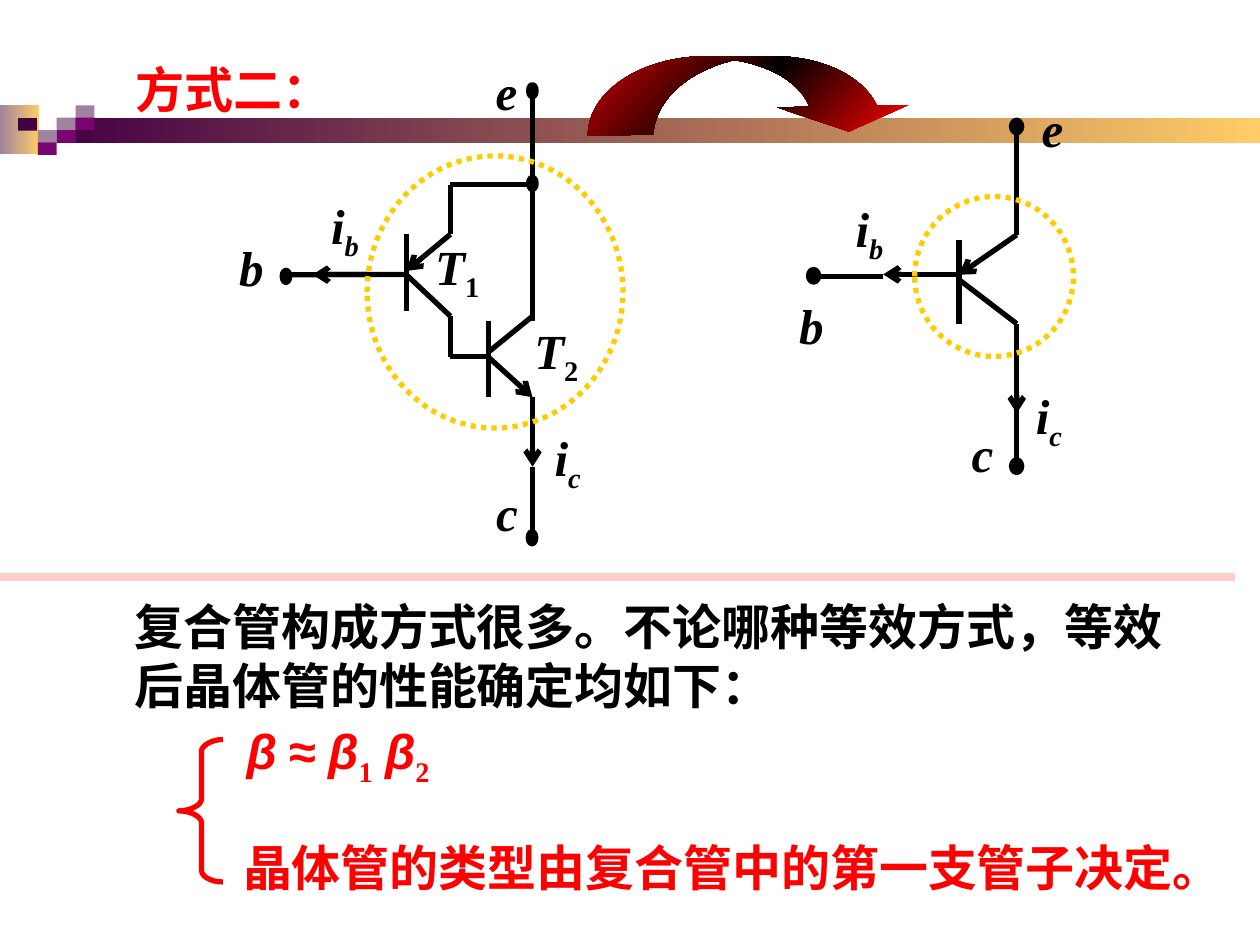
"""Build the slide on the second way to form a compound transistor."""
from copy import deepcopy

from lxml.etree import SubElement
from pptx import Presentation
from pptx.dml.color import RGBColor
from pptx.enum.dml import MSO_LINE as Dash
from pptx.enum.shapes import MSO_CONNECTOR as Connector, MSO_SHAPE as Preset
from pptx.enum.text import MSO_ANCHOR as Anchor, MSO_AUTO_SIZE as AutoSize, PP_ALIGN as Align
from pptx.oxml.ns import qn
from pptx.util import Pt

COLORS = {
    "black": "000000", "red": "FF0000", "gold": "FFCC00", "pink": "FFCCCC",
    "mauve": "9F839F", "plum": "790571", "violet": "440044", "sand": "FFCC66",
}
SERIF, SANS = "Times New Roman", "Arial"

BANDS = [
    (("mauve", "sand"), (0, 60.2, 22.3, 28)),
    (("violet", "sand"), (32.4, 67.2, 687.6, 14.4)),
]
TILE_WIDTH, TILE_HEIGHT = 10.8, 7.2
TILES = [
    ("mauve", 32.4, 67.2), ("mauve", 43.2, 60.2), ("plum", 43.2, 67.2),
    ("mauve", 21.6, 74.4), ("violet", 10.3, 67.5), ("plum", 32.4, 74.4),
    ("plum", 21.6, 81.4),
]

SINGLE = {
    "circle": (522.7, 112.3, 90.7, 91.4),
    "dot_size": (5.8, 7.2),
    "dots": [(578, 68.7), (462, 154), (578, 262.8)],
    "wires": [
        (495.4, 135.4, 495.4, 135.4),
        (548, 137.2, 548, 185), (548, 159.8, 581, 185), (581, 112.3, 581, 71.3),
        (462.2, 157.9, 504.7, 157.9), (581, 112.3, 581, 134.2), (581, 231.1, 581, 262.8),
    ],
    "arrows": [(581, 134.2, 548, 157), (581, 185, 581, 236.2), (548, 156.8, 504.7, 156.8)],
    "labels": [
        ("b", "", (447.1, 165.2, 33.1, 41)), ("e", "", (588.2, 52.6, 26.6, 41)),
        ("c", "", (548.1, 238.3, 26.6, 41)), ("i", "b", (481.7, 109.8, 30.2, 45.4)),
        ("i", "c", (584.6, 216.7, 29.5, 45.4)),
    ],
}
COMPOUND = {
    "circle": (209.8, 89.1, 146.2, 155.5),
    "dot_size": (4.3, 7),
    "dots": [(302.1, 48.4), (302.1, 101.3), (161.3, 154.4), (301.9, 303.8)],
    "wires": [
        (304.3, 180.7, 279.1, 201.2), (279.1, 183.3, 279.1, 227),
        (304.3, 266.7, 304.3, 303.8), (304.3, 183.6, 304.3, 105.5),
        (266.4, 203.8, 279.1, 203.8), (232.2, 133.9, 232.2, 177.8),
        (232.2, 157, 257.4, 180.7), (165.6, 157, 232.2, 156.8),
        (257.4, 180.7, 257.4, 203.8), (257.4, 203.8, 266.4, 203.8),
        (257.4, 105.5, 257.4, 133.9), (257.4, 105.5, 304.3, 105.5),
        (304.3, 51.4, 304.3, 89.3), (304.3, 89.3, 304.3, 105.5),
    ],
    "arrows": [
        (279.1, 204.1, 304.3, 227), (257.4, 133.9, 232.2, 154.8),
        (304.3, 227, 304.3, 266.7), (209.5, 156.8, 178.6, 157),
    ],
    "labels": [
        ("c", "", (276.5, 272.2, 26.6, 41)), ("b", "", (129.6, 132.1, 25.2, 41)),
        ("e", "", (276.1, 31.7, 26.6, 41)), ("T", "1", (241.5, 131.5, 39.6, 45.4)),
        ("T", "2", (298.1, 179.6, 39.6, 45.4)), ("i", "b", (182, 108.2, 30.2, 45.4)),
        ("i", "c", (309.6, 240.5, 29.5, 45.4)),
    ],
}

ARROW_BODY = [
    (336, 77.5), (335.5, 53.3, 365, 33.1, 401, 32.2), (438.5, 32.2),
    (468, 31, 493.2, 43.2, 501.1, 60.3), (519, 60.1), (485.1, 75.2), (444.2, 61.4),
    (462.5, 61), (457.2, 46.8, 439.2, 37.4, 419.6, 34.4),
    (394.6, 40.3, 374.4, 56.2, 373.4, 77),
]
ARROW_TAIL = ARROW_BODY[:2] + [(405.4, 32.2), (419.6, 34.4), ARROW_BODY[-1]]
BRACE = [
    (127.4, 422.6), (121, 422.6, 115.2, 426.2, 115.2, 429.1), (115.2, 456.5),
    (115.2, 460.1, 108.7, 463.4, 102.2, 463.4), (108.7, 463.4, 115.2, 466.6, 115.2, 470.2),
    (115.2, 497.5), (115.2, 501.1, 121, 504, 127.4, 504),
]

BETA, PLAIN, SUB = {"font": SANS, "italic": True}, {}, {"sub": True}
FORMULA = [
    ("β", BETA), (" ", PLAIN), ("≈", {"font": SANS}), (" ", PLAIN), ("β", BETA),
    ("1", SUB), (" ", PLAIN), ("β", BETA), ("2", SUB),
]
TITLE = "方式二："
SUMMARY = ["复合管构成方式很多。不论哪种等效方式，等效", "后晶体管的性能确定均如下："]
RULE = "晶体管的类型由复合管中的第一支管子决定。"


def rgb(name):
    return RGBColor.from_string(COLORS[name])


def paint(shape, fill=None, line=None, width=3, angle=0):
    shape.shadow.inherit = False
    if isinstance(fill, tuple):
        shape.fill.gradient()
        shape.fill.gradient_angle = angle
        first = shape._element.spPr.find(".//" + qn("a:gs"))
        for _ in fill[2:]:
            first.addnext(deepcopy(first))
        for index, (stop, name) in enumerate(zip(shape.fill.gradient_stops, fill)):
            stop.position = index / (len(fill) - 1)
            stop.color.rgb = rgb(name)
    elif fill:
        shape.fill.solid()
        shape.fill.fore_color.rgb = rgb(fill)
    else:
        shape.fill.background()
    if line:
        shape.line.color.rgb = rgb(line)
        shape.line.width = Pt(width)
    else:
        shape.line.fill.background()


def add_preset(page, preset, frame, **look):
    shape = page.shapes.add_shape(preset, *map(Pt, frame))
    paint(shape, **look)
    return shape


def add_wire(page, ends, color="black", width=3, arrow=False):
    wire = page.shapes.add_connector(Connector.STRAIGHT, *map(Pt, ends))
    wire.line.color.rgb = rgb(color)
    wire.line.width = Pt(width)
    if arrow:
        SubElement(wire.line._get_or_add_ln(), qn("a:tailEnd"), type="arrow")
    SubElement(wire._element.spPr, qn("a:effectLst"))


def add_outline(page, steps, close, shade=(), **look):
    corners = [(Pt(step[-2]), Pt(step[-1])) for step in steps]
    builder = page.shapes.build_freeform(*corners[0])
    builder.add_line_segments(corners[1:], close=close)
    shape = builder.convert_to_shape()
    main_path = shape._element.spPr.find(".//" + qn("a:path"))
    paths = [(main_path, steps)]
    if shade:
        shade_path = deepcopy(main_path)
        shade_path.set("fill", "darkenLess")
        main_path.addnext(shade_path)
        paths.append((shade_path, shade))
    for path, path_steps in paths:
        for child in list(path):
            path.remove(child)
        for index, step in enumerate(path_steps):
            tag = "a:moveTo" if index == 0 else "a:lnTo" if len(step) == 2 else "a:cubicBezTo"
            segment = SubElement(path, qn(tag))
            for x, y in zip(step[::2], step[1::2]):
                SubElement(segment, qn("a:pt"), x=str(Pt(x) - shape.left), y=str(Pt(y) - shape.top))
        if close:
            SubElement(path, qn("a:close"))
    paint(shape, **look)


def add_text(page, frame, paragraphs, color="black", align=Align.LEFT, anchor=Anchor.MIDDLE, wrap=False):
    box = page.shapes.add_textbox(*map(Pt, frame)).text_frame
    box.word_wrap = wrap
    box.auto_size = AutoSize.SHAPE_TO_FIT_TEXT
    box.vertical_anchor = anchor
    for index, runs in enumerate(paragraphs):
        para = box.add_paragraph() if index else box.paragraphs[0]
        para.alignment = align
        for text, style in runs:
            span = para.add_run()
            span.text = text
            span.font.name = style.get("font", SERIF)
            span.font.size = Pt(28)
            span.font.bold = True
            span.font.italic = style.get("italic", False)
            span.font.color.rgb = rgb(color)
            if style.get("sub"):
                span.font._element.set("baseline", "-25000")


def add_circuit(page, circuit):
    for corner in circuit["dots"]:
        add_preset(page, Preset.OVAL, corner + circuit["dot_size"], fill="black", line="black")
    for kind in ("wires", "arrows"):
        for ends in circuit[kind]:
            add_wire(page, ends, arrow=kind == "arrows")
    circle = add_preset(page, Preset.OVAL, circuit["circle"], line="gold")
    circle.line.dash_style = Dash.ROUND_DOT
    for letter, index, frame in circuit["labels"]:
        runs = [(letter, {"italic": True})]
        if index:
            runs.append((index, {"italic": index.isalpha(), "sub": True}))
        add_text(page, frame, [runs], align=Align.CENTER, wrap=letter == "b")


def main():
    deck = Presentation()
    deck.slide_width, deck.slide_height = Pt(720), Pt(540)
    page = deck.slides.add_slide(deck.slide_layouts[6])
    for fill, frame in BANDS:
        add_preset(page, Preset.RECTANGLE, frame, fill=fill)
    for fill, left, top in TILES:
        add_preset(page, Preset.RECTANGLE, (left, top, TILE_WIDTH, TILE_HEIGHT), fill=fill)
    add_circuit(page, SINGLE)
    add_outline(page, ARROW_BODY, True, ARROW_TAIL, fill=("red", "black", "red"), angle=315)
    add_text(page, (133.8, 408.4, 120, 45.4), [FORMULA], color="red")
    add_text(page, (131.8, 474.9, 573.1, 41), [[(RULE, PLAIN)]], color="red")
    add_text(page, (70.6, 30.6, 126, 41), [[(TITLE, PLAIN)]], color="red", anchor=Anchor.TOP)
    add_circuit(page, COMPOUND)
    add_outline(page, BRACE, False, line="red")
    add_text(page, (69.8, 337, 606, 74.9), [[(text, PLAIN)] for text in SUMMARY])
    add_wire(page, (0, 329.9, 705.6, 329.9), color="pink", width=4.5)
    deck.save("out.pptx")


if __name__ == "__main__":
    main()
